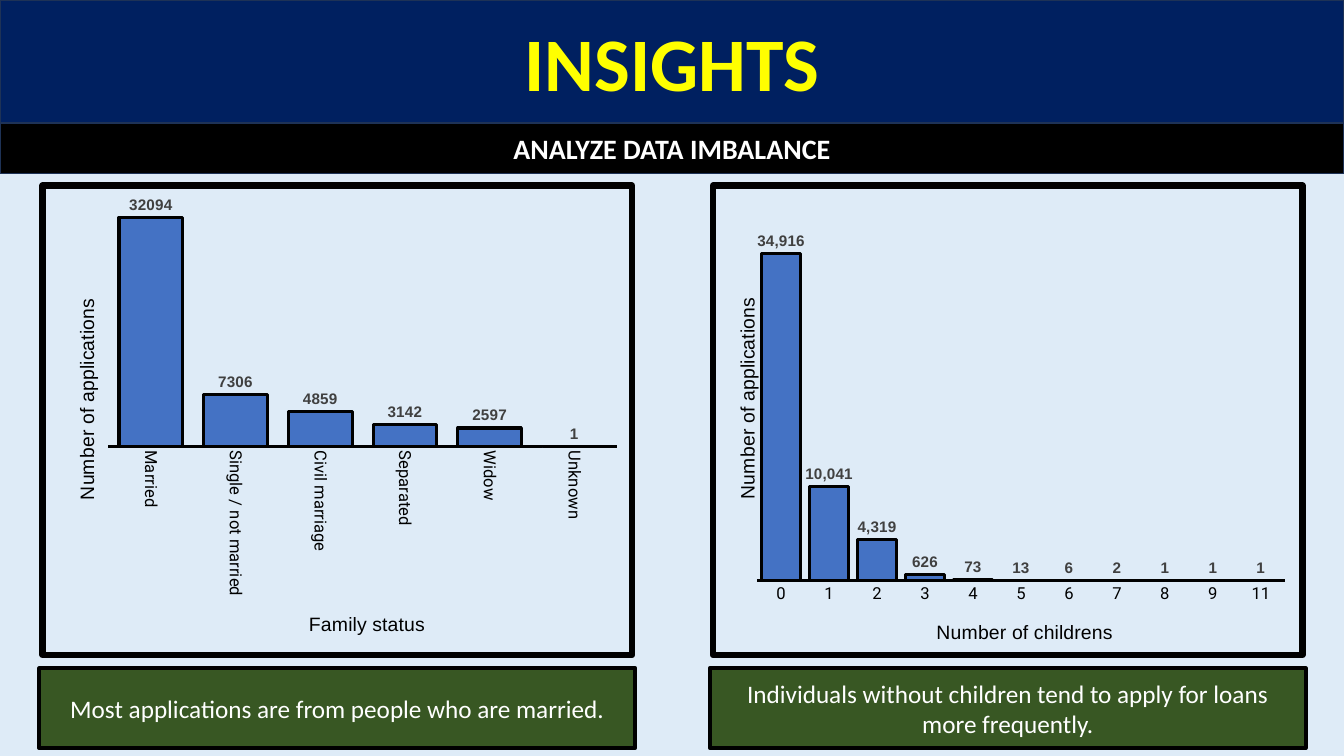
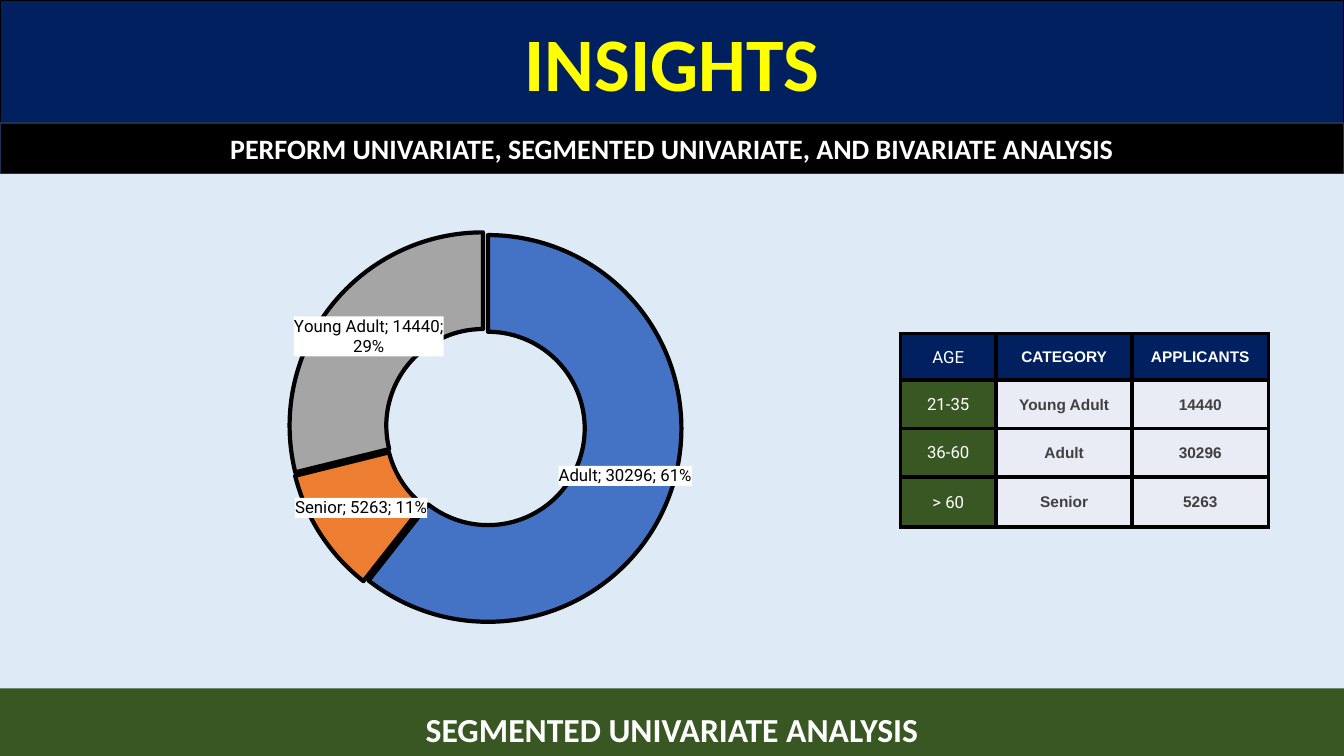
import lxml.etree
import pptx
import pptx.chart.data
import pptx.dml.color
import pptx.enum.chart
import pptx.enum.shapes
import pptx.enum.text
import pptx.oxml
import pptx.oxml.ns
import pptx.util
from dataclasses import dataclass

Inches = pptx.util.Inches
Pt = pptx.util.Pt


@dataclass(frozen=True)
class Theme:
    page: str = "DEEBF7"
    navy: str = "002060"
    edge: str = "1E3256"
    black: str = "000000"
    white: str = "FFFFFF"
    yellow: str = "FFFF00"
    green: str = "385723"
    pale: str = "E9EBF5"
    grey_text: str = "404040"
    accents: tuple = ("4472C4", "ED7D31", "A5A5A5")
    body_font: str = "Calibri"
    label_font: str = "Roboto"
    value_font: str = "Arial"
    title: int = 54
    footer: int = 24
    subtitle: int = 20
    note: int = 18
    axis_title: int = 14
    label: int = 12
    value: int = 11
    base: int = 10


THEME = Theme()
WIDTH, HEIGHT = 13.33, 7.5
TITLE_H, SUBTITLE_H = 1.22, 0.5


def rgb(color):
    return pptx.dml.color.RGBColor.from_string(color)


def xml(tag, attrs="", inner=""):
    namespaces = pptx.oxml.ns.nsdecls("a", "c")
    return pptx.oxml.parse_xml(f"<{tag} {namespaces} {attrs}>{inner}</{tag.split()[0]}>")


def solid(color):
    return f'<a:solidFill><a:srgbClr val="{color}"/></a:solidFill>'


def set_font(font, face, size, color, bold=False):
    font.name, font.size, font.bold = face, Pt(size), bold
    font.color.rgb = rgb(color)


def set_line(line, color, width):
    line.color.rgb = rgb(color)
    line.width = Pt(width)


def write(frame, text, face, size, color, bold=False):
    paragraph = frame.paragraphs[0]
    paragraph.alignment = pptx.enum.text.PP_ALIGN.CENTER
    run = paragraph.add_run()
    run.text = text
    set_font(run.font, face, size, color, bold)
    return run


# Filled boxes: bands, notes and footer
def panel(slide, box, text, fill, size, color=THEME.white, bold=False, border=None):
    shape = slide.shapes.add_shape(
        pptx.enum.shapes.MSO_SHAPE.RECTANGLE, *map(Inches, box))
    shape.shadow.inherit = False
    shape.fill.solid()
    shape.fill.fore_color.rgb = rgb(fill)
    if border:
        set_line(shape.line, *border)
    else:
        shape.line.fill.background()
    frame = shape.text_frame
    frame.word_wrap = True
    frame.vertical_anchor = pptx.enum.text.MSO_ANCHOR.MIDDLE
    return frame, write(frame, text, THEME.body_font, size, color, bold)


def insight_slide(deck, subtitle, title_edge):
    slide = deck.slides.add_slide(deck.slide_layouts[6])
    slide.background.fill.solid()
    slide.background.fill.fore_color.rgb = rgb(THEME.page)
    _, heading = panel(slide, (0, 0, WIDTH, TITLE_H), "INSIGHTS", THEME.navy,
                       THEME.title, THEME.yellow, True, (title_edge, 1))
    outline = xml("a:ln", f'w="{Pt(0.75)}"', solid(THEME.black))
    heading.font._element.insert(0, outline)
    panel(slide, (0, TITLE_H, WIDTH, SUBTITLE_H), subtitle, THEME.black,
          THEME.subtitle, bold=True, border=(THEME.edge, 1))
    return slide


def footer(slide, text):
    top = 6.83
    frame, _ = panel(slide, (0, top, WIDTH, HEIGHT - top), text, THEME.green,
                     THEME.footer, bold=True)
    frame.vertical_anchor = pptx.enum.text.MSO_ANCHOR.TOP
    frame.margin_left = frame.margin_right = Inches(0.79)
    frame.margin_top, frame.margin_bottom = Inches(0.2), 0


# Chart parts
def place(element, index, position, inner=False):
    """Fix a chart part at fractions of the chart's box."""
    for old in element.findall(pptx.oxml.ns.qn("c:layout")):
        element.remove(old)
    target = '<c:layoutTarget val="inner"/>' if inner else ""
    modes = '<c:xMode val="edge"/><c:yMode val="edge"/>'
    values = "".join(f'<c:{key} val="{value}"/>' for key, value in zip("xywh", position))
    layout = f"<c:manualLayout>{target}{modes}{values}</c:manualLayout>"
    element.insert(index, xml("c:layout", inner=layout))


def new_chart(slide, box, kind, categories, values, plot_box, border=""):
    data = pptx.chart.data.CategoryChartData()
    data.categories = categories
    data.add_series("Series 1", values)
    chart = slide.shapes.add_chart(kind, *map(Inches, box), data).chart
    chart.has_legend = chart.has_title = False
    set_font(chart.font, THEME.body_font, THEME.base, THEME.black)
    space = chart._chartSpace
    space.chart.addnext(xml("c:spPr", inner=f"<a:noFill/><a:ln {border}</a:ln>"))
    place(space.chart.plotArea, 0, plot_box, inner=True)
    return chart, chart.plots[0].series[0]


def title_axis(axis, text, position, rotation=0):
    axis.has_title = True
    write(axis.axis_title.text_frame, text, THEME.value_font, THEME.axis_title, THEME.black)
    title = axis.axis_title._element
    body = title.xpath(".//a:bodyPr")[0]
    body.set("rot", str(rotation * 60000))
    body.set("vert", "horz")
    place(title, 1, position)


def count_chart(slide, box, counts, category_title, plot_box, title_spots,
                gap, top_value, number_format="General", label_turn=0):
    chart, series = new_chart(
        slide, box, pptx.enum.chart.XL_CHART_TYPE.COLUMN_CLUSTERED,
        list(counts), list(counts.values()), plot_box,
        f'w="{Pt(4.5)}">{solid(THEME.black)}')
    plot = chart.plots[0]
    plot.gap_width, plot.overlap, plot.vary_by_categories = gap, -27, False
    # Bars and their values
    series.format.fill.solid()
    series.format.fill.fore_color.rgb = rgb(THEME.accents[0])
    set_line(series.format.line, THEME.black, 2.25)
    labels = series.data_labels
    labels.show_value = True
    labels.position = pptx.enum.chart.XL_LABEL_POSITION.OUTSIDE_END
    labels.number_format, labels.number_format_is_linked = number_format, False
    set_font(labels.font, THEME.value_font, THEME.value, THEME.grey_text, True)
    # Axes
    category_spot, value_spot = title_spots
    groups, amounts = chart.category_axis, chart.value_axis
    groups.major_tick_mark = pptx.enum.chart.XL_TICK_MARK.NONE
    set_line(groups.format.line, THEME.black, 2.25)
    set_font(groups.tick_labels.font, THEME.label_font, THEME.label, THEME.black)
    groups._element.xpath("c:txPr/a:bodyPr")[0].set("rot", str(label_turn * 60000))
    title_axis(groups, category_title, category_spot)
    amounts.minimum_scale, amounts.maximum_scale = 0, top_value
    amounts.has_major_gridlines = False
    amounts.visible = False
    title_axis(amounts, "Number of applications", value_spot, -90)


def age_ring(slide, box, counts):
    chart, series = new_chart(
        slide, box, pptx.enum.chart.XL_CHART_TYPE.DOUGHNUT, list(counts),
        list(counts.values()), (0.247, 0.011, 0.533, 0.964), "><a:noFill/>")
    chart._chartSpace.xpath(".//c:holeSize")[0].set("val", "39")
    # Slices, pulled apart slightly
    set_line(series.format.line, THEME.black, 3)
    series._element.find(pptx.oxml.ns.qn("c:spPr")).addnext(xml("c:explosion", 'val="3"'))
    for index, color in enumerate(THEME.accents):
        slice_format = series.points[index].format
        slice_format.fill.solid()
        slice_format.fill.fore_color.rgb = rgb(color)
        set_line(slice_format.line, THEME.black, 3)
    # Labels on white
    labels = series.data_labels
    labels.show_category_name = labels.show_value = labels.show_percentage = True
    set_font(labels.font, THEME.label_font, THEME.label, THEME.black)
    element = labels._element
    element.xpath("c:txPr")[0].addprevious(xml("c:spPr", inner=solid(THEME.white)))
    element.xpath("c:showBubbleSize")[0].addnext(xml("c:separator", inner="; "))


# Table
def style_cell(cell, text, fill, face, size, color, bold):
    cell.vertical_anchor = pptx.enum.text.MSO_ANCHOR.MIDDLE
    cell.margin_left = cell.margin_right = cell.margin_top = Inches(0.01)
    cell.margin_bottom = 0
    cell.fill.solid()
    cell.fill.fore_color.rgb = rgb(fill)
    write(cell.text_frame, text, face, size, color, bold)
    for index, side in enumerate("LRTB"):
        cell._tc.tcPr.insert(index, xml(f"a:ln{side}", f'w="{Pt(3)}"', solid(THEME.black)))


def age_table(slide, box, rows, widths, heights):
    table = slide.shapes.add_table(len(rows), len(widths), *map(Inches, box)).table
    table.first_row = table.horz_banding = False
    for column, width in zip(table.columns, widths):
        column.width = Inches(width)
    for r, (row, height) in enumerate(zip(rows, heights)):
        table.rows[r].height = Inches(height)
        for c, text in enumerate(row):
            header, age = r == 0, c == 0
            fill = THEME.navy if header else THEME.green if age else THEME.pale
            face, size = ((THEME.label_font, THEME.label) if age
                          else (THEME.value_font, THEME.value))
            color = THEME.white if header or age else THEME.grey_text
            style_cell(table.cell(r, c), text, fill, face, size, color, not age)


# Slides
def imbalance_slide(deck):
    slide = insight_slide(deck, "ANALYZE DATA IMBALANCE", THEME.edge)
    lefts, width = (0.39, 7.04), 5.91
    family = {"Married": 32094, "Single / not married": 7306, "Civil marriage": 4859,
              "Separated": 3142, "Widow": 2597, "Unknown": 1}
    children = {"0": 34916, "1": 10041, "2": 4319, "3": 626, "4": 73, "5": 13,
                "6": 6, "7": 2, "8": 1, "9": 1, "11": 1}
    boxes = [(left, 1.81, width, 4.72) for left in lefts]
    count_chart(slide, boxes[0], family, "Family status", (0.112, 0.024, 0.862, 0.532),
                ((0.446, 0.9), (0.048, 0.234)), 33, 35000, label_turn=90)
    count_chart(slide, boxes[1], children, "Number of childrens",
                (0.075, 0.044, 0.895, 0.797), ((0.373, 0.917), (0.031, 0.232)),
                22, 40000, "#,##0")
    notes = ("Most applications are from people who are married.",
             "Individuals without children tend to apply for loans more frequently.")
    for left, note in zip(lefts, notes):
        panel(slide, (left, 6.63, width, 0.79), note, THEME.green, THEME.note,
              border=(THEME.black, 3))


def segment_slide(deck):
    slide = insight_slide(
        deck, "PERFORM UNIVARIATE, SEGMENTED UNIVARIATE, AND BIVARIATE ANALYSIS", THEME.black)
    footer(slide, "SEGMENTED UNIVARIATE ANALYSIS")
    age_ring(slide, (1.06, 2.25, 7.31, 4.04),
             {"Adult": 30296, "Senior": 5263, "Young Adult": 14440})
    rows = (("AGE", "CATEGORY", "APPLICANTS"),
            ("21-35", "Young Adult", "14440"),
            ("36-60", "Adult", "30296"),
            ("> 60", "Senior", "5263"))
    age_table(slide, (8.93, 3.31, 3.65, 1.92), rows, (0.95, 1.35, 1.35),
              (0.46, 0.48, 0.48, 0.5))


def main():
    deck = pptx.Presentation()
    deck.slide_width, deck.slide_height = Inches(WIDTH), Inches(HEIGHT)
    imbalance_slide(deck)
    segment_slide(deck)
    deck.save("out.pptx")


if __name__ == "__main__":
    main()
